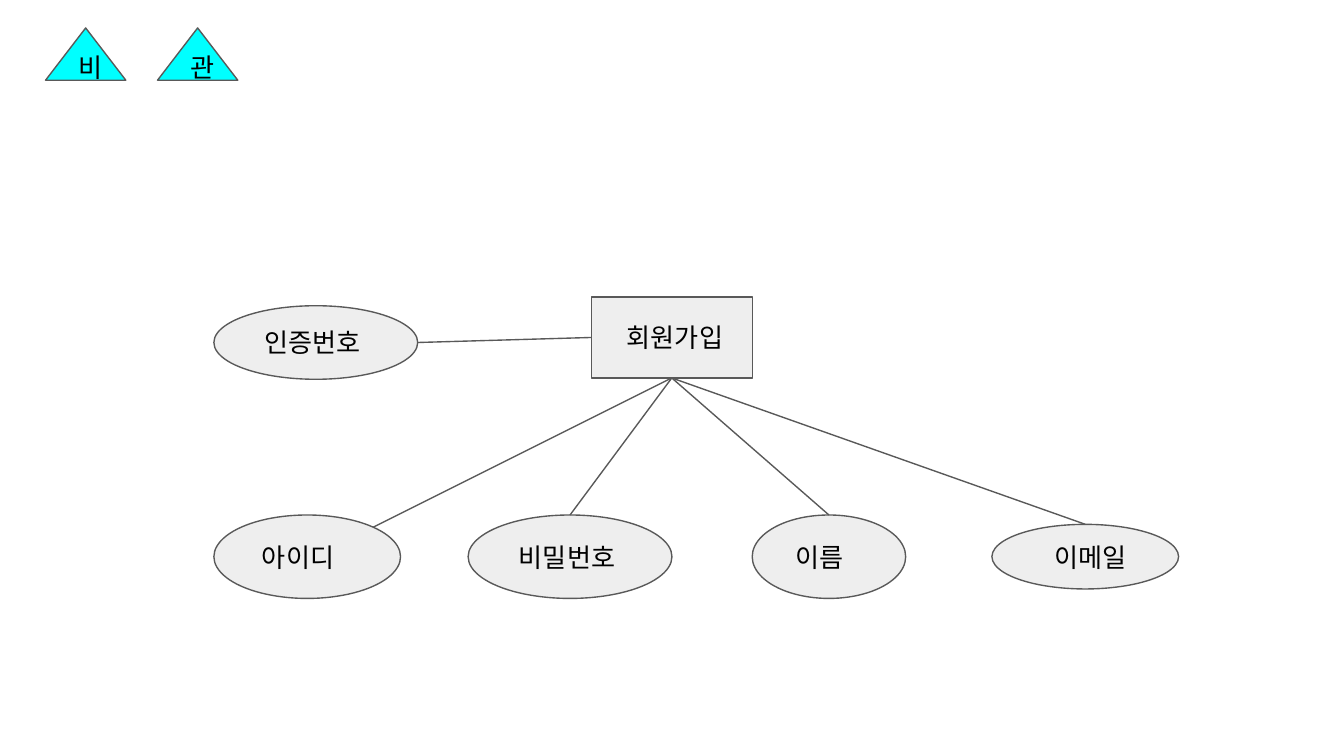
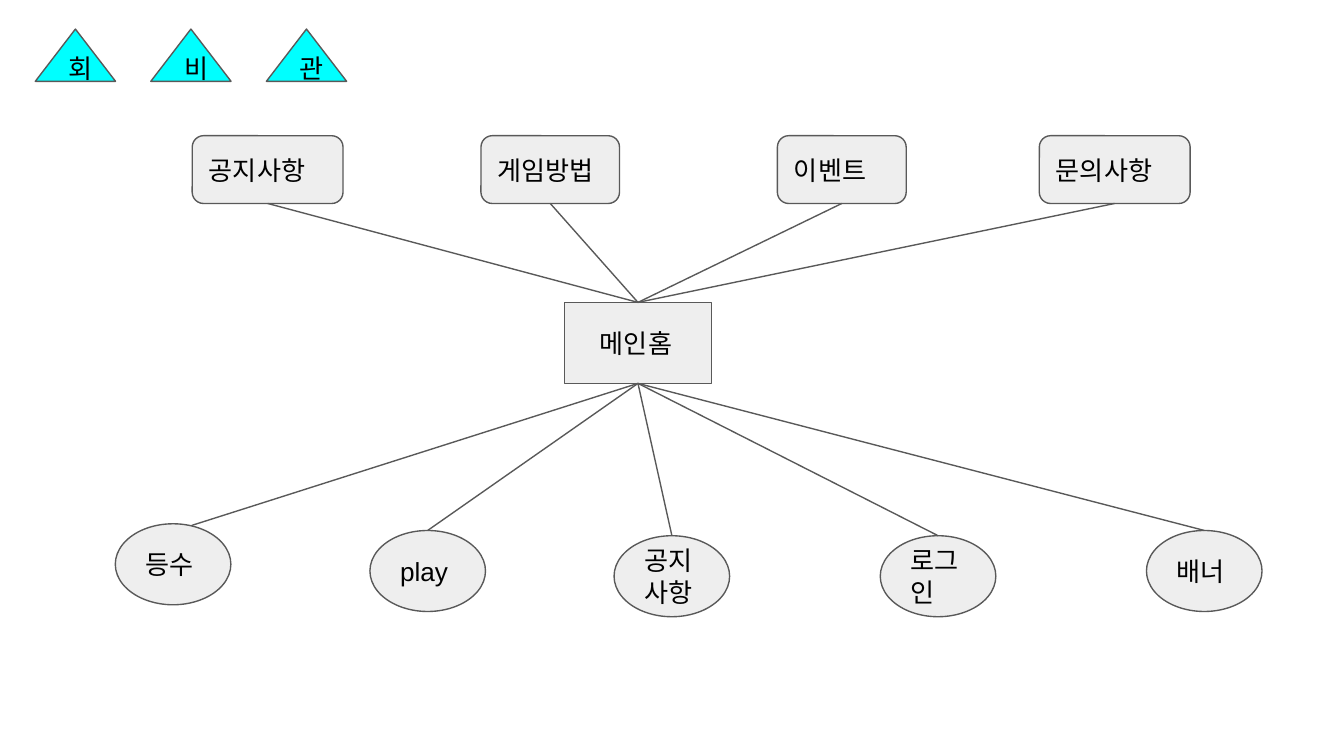
from lxml.etree import SubElement
from pptx import Presentation
from pptx.dml.color import RGBColor
from pptx.enum.shapes import MSO_CONNECTOR, MSO_SHAPE
from pptx.enum.text import MSO_ANCHOR, PP_ALIGN
from pptx.oxml.ns import qn
from pptx.util import Pt

CYAN = RGBColor(0x00, 0xFF, 0xFF)
LIGHT_GREY = RGBColor(0xEE, 0xEE, 0xEE)
DARK_GREY = RGBColor(0x59, 0x59, 0x59)
BLACK = RGBColor(0x00, 0x00, 0x00)
WHITE = RGBColor(0xFF, 0xFF, 0xFF)

FONT = "Arial"
INSET = 7.2
SPACE = 3.9  # width of one space at 14 pt

# Connection points as fractions of a shape's width and height
TOP, BOTTOM, LEFT, RIGHT = (0.5, 0), (0.5, 1), (0, 0.5), (1, 0.5)
UPPER_RIGHT = (0.854, 0.146)
NEAR_TOP = (0.663, 0.02)


def write_text(shape, text, size=14, color=BLACK, font=FONT, indent=0):
    frame = shape.text_frame
    frame.word_wrap = True
    frame.vertical_anchor = MSO_ANCHOR.MIDDLE
    frame.margin_left = Pt(INSET + indent)
    frame.margin_right = frame.margin_top = frame.margin_bottom = Pt(INSET)
    para = frame.paragraphs[0]
    para.alignment = PP_ALIGN.LEFT
    span = para.add_run()
    span.text = text
    span.font.size = Pt(size)
    span.font.name = font
    span.font.color.rgb = color
    SubElement(span.font._element, qn("a:ea")).set("typeface", font)


def point_on(shape, site):
    """Return the place of a connection point on the slide."""
    across, down = site
    return (int(shape.left + shape.width * across),
            int(shape.top + shape.height * down))


class Diagram:
    """Holds the deck, the current page and the line style."""

    def __init__(self, deck):
        self.deck = deck
        self.page = None
        self.line_color = DARK_GREY
        self.line_width = Pt(0.75)

    def new_page(self):
        self.page = self.deck.slides.add_slide(self.deck.slide_layouts[6])
        fill = self.page.background.fill
        fill.solid()
        fill.fore_color.rgb = WHITE

    def outline(self, line):
        line.color.rgb = self.line_color
        line.width = self.line_width

    def node(self, kind, text, left, top, width, height,
             fill=LIGHT_GREY, indent=0):
        shape = self.page.shapes.add_shape(
            kind, Pt(left), Pt(top), Pt(width), Pt(height))
        shape.shadow.inherit = False
        shape.fill.solid()
        shape.fill.fore_color.rgb = fill
        self.outline(shape.line)
        write_text(shape, text, indent=indent)
        return shape

    def entity(self, text, left, top, width):
        return self.node(MSO_SHAPE.RECTANGLE, text, left, top, width, 43.4,
                         indent=3 * SPACE)

    def attribute(self, text, left, top, width, height, indent=0):
        return self.node(MSO_SHAPE.OVAL, text, left, top, width, height,
                         indent=indent)

    def menu(self, text, left, width):
        return self.node(MSO_SHAPE.ROUNDED_RECTANGLE, text,
                         left, 72.7, width, 36.3)

    def roles(self, names, left, top, step):
        """Draw the row of triangles that names who may use the page."""
        for index, name in enumerate(names):
            self.node(MSO_SHAPE.ISOSCELES_TRIANGLE, name,
                      left + index * step, top, 43, 28, fill=CYAN)

    def link(self, start, start_site, end, end_site):
        connector = self.page.shapes.add_connector(
            MSO_CONNECTOR.STRAIGHT,
            *point_on(start, start_site), *point_on(end, end_site))
        self.outline(connector.line)
        SubElement(connector._element.spPr, qn("a:effectLst"))


def sign_up_page(diagram):
    diagram.new_page()
    diagram.roles("비관", 24.4, 15, 60)
    sign_up = diagram.entity("회원가입", 316.8, 159.1, 86.2)
    attributes = [
        ("인증번호", 114.6, 163.8, 109.2, 39.4, 1, RIGHT, LEFT),
        ("아이디", 114.6, 275.9, 100, 44.7, 1, UPPER_RIGHT, BOTTOM),
        ("비밀번호", 250.8, 275.9, 109.2, 44.7, 1, TOP, BOTTOM),
        ("이름", 403, 275.9, 82.2, 44.7, 1, TOP, BOTTOM),
        ("이메일", 531.4, 280.9, 100, 34.6, 3, TOP, BOTTOM),
    ]
    for text, left, top, width, height, spaces, site, target in attributes:
        oval = diagram.attribute(text, left, top, width, height,
                                 indent=spaces * SPACE)
        diagram.link(oval, site, sign_up, target)


def main_home_page(diagram):
    diagram.new_page()
    diagram.roles("회비관", 18.9, 15.6, 61.9)
    home = diagram.entity("메인홈", 302.4, 162, 78.8)
    attributes = [
        ("등수", 61.8, 280.6, NEAR_TOP),
        ("play", 198.2, 284.2, TOP),
        ("공지사항", 329, 287, TOP),
        ("로그인", 471.6, 287, TOP),
        ("배너", 614.2, 284.2, TOP),
    ]
    for text, left, top, site in attributes:
        oval = diagram.attribute(text, left, top, 61.9, 43.4)
        diagram.link(oval, site, home, BOTTOM)
    menus = [
        ("공지사항", 103, 80.8),
        ("게임방법", 257.7, 74.2),
        ("이벤트", 416.5, 69),
        ("문의사항", 556.8, 80.8),
    ]
    for text, left, width in menus:
        diagram.link(diagram.menu(text, left, width), BOTTOM, home, TOP)


def main():
    deck = Presentation()
    deck.slide_width = Pt(720)
    deck.slide_height = Pt(405)
    diagram = Diagram(deck)
    sign_up_page(diagram)
    main_home_page(diagram)
    deck.save("out.pptx")


if __name__ == "__main__":
    main()
